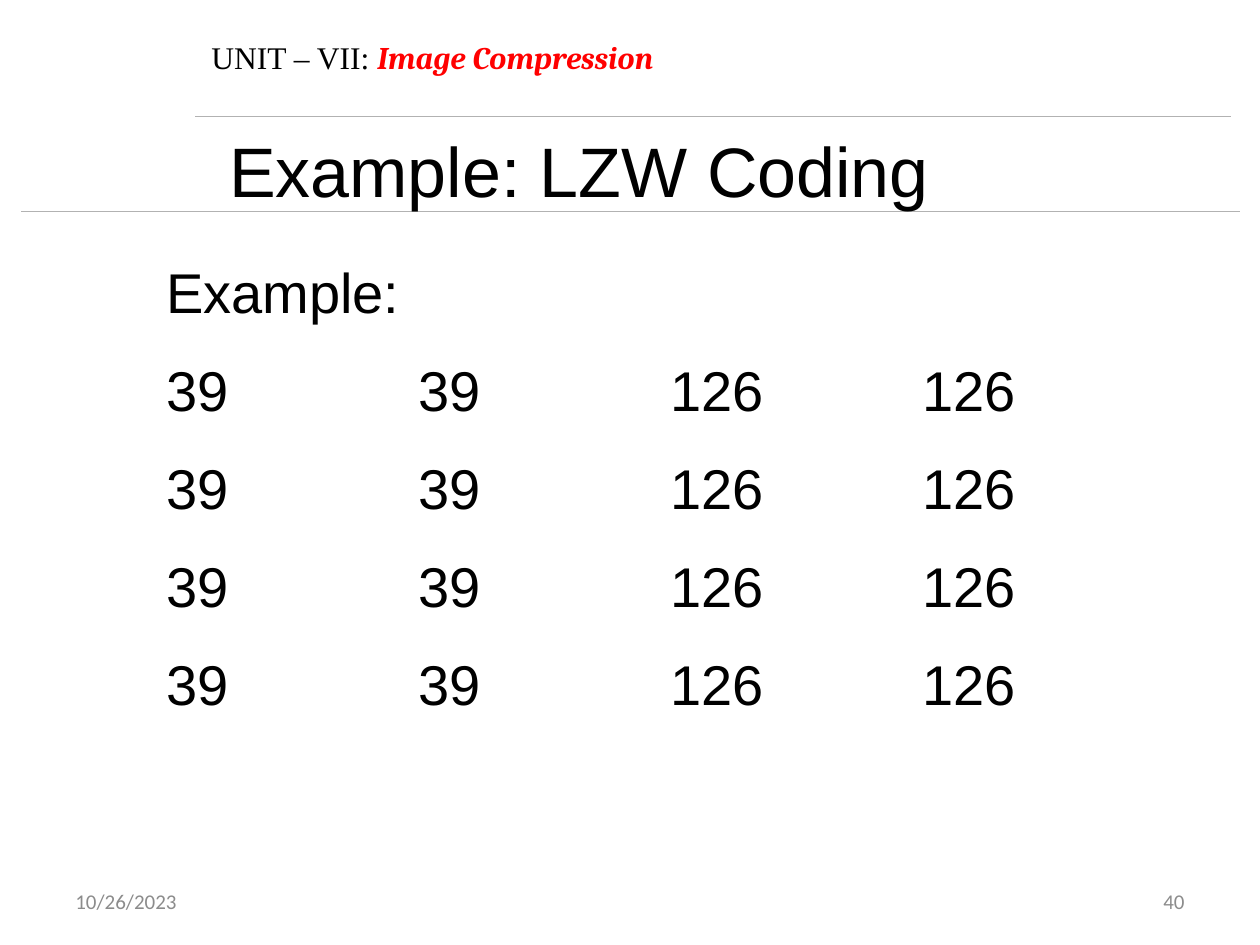
"""Build the LZW coding example slide."""
from dataclasses import dataclass
from typing import NamedTuple

from lxml.etree import SubElement
from pptx import Presentation
from pptx.dml.color import RGBColor
from pptx.enum.shapes import MSO_CONNECTOR
from pptx.enum.text import MSO_ANCHOR as Anchor, MSO_AUTO_SIZE as AutoSize, PP_ALIGN as Align
from pptx.oxml.ns import qn
from pptx.util import Inches, Pt


@dataclass(frozen=True)
class Theme:
    black: str = "000000"
    red: str = "FF0000"
    gray: str = "8C8C8C"
    rule: str = "B2B2B2"
    shadow: str = "C0C0C0"
    title_size: float = 40
    body_size: float = 32
    unit_size: float = 18
    footer_size: float = 12
    body_gap: float = 17.7
    rule_width: float = 0.25


class Run(NamedTuple):
    text: str
    size: float
    font: str
    color: str
    emphasis: bool = False
    shadow: bool = False


@dataclass(frozen=True)
class TextBlock:
    left: float
    top: float
    width: float
    height: float
    paragraphs: list[list[Run]]
    align: Align = Align.LEFT
    anchor: Anchor = Anchor.TOP
    grow: bool = True
    gap: float = 0
    inset_top: float = 0.05
    tab_stops: int = 0


class Rule(NamedTuple):
    start: float
    end: float
    y: float


THEME = Theme()


def add_tabs(p, count: int) -> None:
    tabs = SubElement(p._p.get_or_add_pPr(), qn("a:tabLst"))
    for stop in range(1, count + 1):
        SubElement(tabs, qn("a:tab"), pos=str(Inches(stop)), algn="l")


def add_text_shadow(r) -> None:
    effects = SubElement(r._r.get_or_add_rPr(), qn("a:effectLst"))
    shadow = SubElement(effects, qn("a:outerShdw"), blurRad="38100", dist="38100", dir="2700000", algn="tl")
    SubElement(shadow, qn("a:srgbClr"), val=THEME.shadow)


def add_run(p, run: Run) -> None:
    r = p.add_run()
    r.text = run.text
    r.font.size = Pt(run.size)
    r.font.color.rgb = RGBColor.from_string(run.color)
    if run.emphasis:
        r.font.bold = r.font.italic = True
    if run.shadow:
        add_text_shadow(r)
    r.font.name = run.font


def add_text(s, block: TextBlock) -> None:
    sp = s.shapes.add_textbox(Inches(block.left), Inches(block.top), Inches(block.width), Inches(block.height))
    tf = sp.text_frame
    tf.word_wrap = True
    tf.auto_size = AutoSize.SHAPE_TO_FIT_TEXT if block.grow else AutoSize.NONE
    tf.vertical_anchor = block.anchor
    tf.margin_top = Inches(block.inset_top)
    for i, runs in enumerate(block.paragraphs):
        p = tf.add_paragraph() if i else tf.paragraphs[0]
        p.alignment = block.align
        if i and block.gap:
            p.space_before = Pt(block.gap)
        if block.tab_stops:
            add_tabs(p, block.tab_stops)
        for run in runs:
            add_run(p, run)


def add_rule(s, rule: Rule) -> None:
    y = Inches(rule.y)
    line = s.shapes.add_connector(MSO_CONNECTOR.STRAIGHT, Inches(rule.start), y, Inches(rule.end), y)
    line.line.color.rgb = RGBColor.from_string(THEME.rule)
    line.line.width = Pt(THEME.rule_width)
    SubElement(line._element.spPr, qn("a:effectLst"))


def footer(left: float, text: str, align: Align) -> TextBlock:
    run = Run(text, THEME.footer_size, "Calibri", THEME.gray)
    return TextBlock(left, 6.95, 2.33, 0.4, [[run]], align, Anchor.MIDDLE, grow=False)


def main() -> None:
    prs = Presentation()
    prs.slide_width, prs.slide_height = Inches(10), Inches(7.5)
    s = prs.slides.add_slide(prs.slide_layouts[6])

    pixel_row = "\t\t".join(["39", "39", "126", "126"])
    body = [[Run(text, THEME.body_size, "Arial", THEME.black)] for text in ["Example:"] + [pixel_row] * 4]
    unit = [
        Run("UNIT – VII: ", THEME.unit_size, "Times New Roman", THEME.black),
        Run("Image Compression", THEME.unit_size, "Cambria", THEME.red, emphasis=True),
    ]
    title = Run("Example: LZW Coding", THEME.title_size, "Arial", THEME.black, shadow=True)

    add_text(s, footer(7.17, "40", Align.RIGHT))
    add_text(s, TextBlock(1.22, 1.95, 8.28, 3.87, body, gap=THEME.body_gap, inset_top=0.09, tab_stops=6))
    add_text(s, TextBlock(1.58, 0.25, 7.67, 0.4, [unit]))
    for rule in (Rule(9.84, 0.17, 1.68), Rule(9.77, 1.55, 0.92)):
        add_rule(s, rule)
    add_text(s, TextBlock(1.72, 0.96, 6.56, 0.77, [[title]], Align.JUSTIFY))
    add_text(s, footer(0.5, "10/26/2023", Align.LEFT))
    prs.save("out.pptx")


if __name__ == "__main__":
    main()
